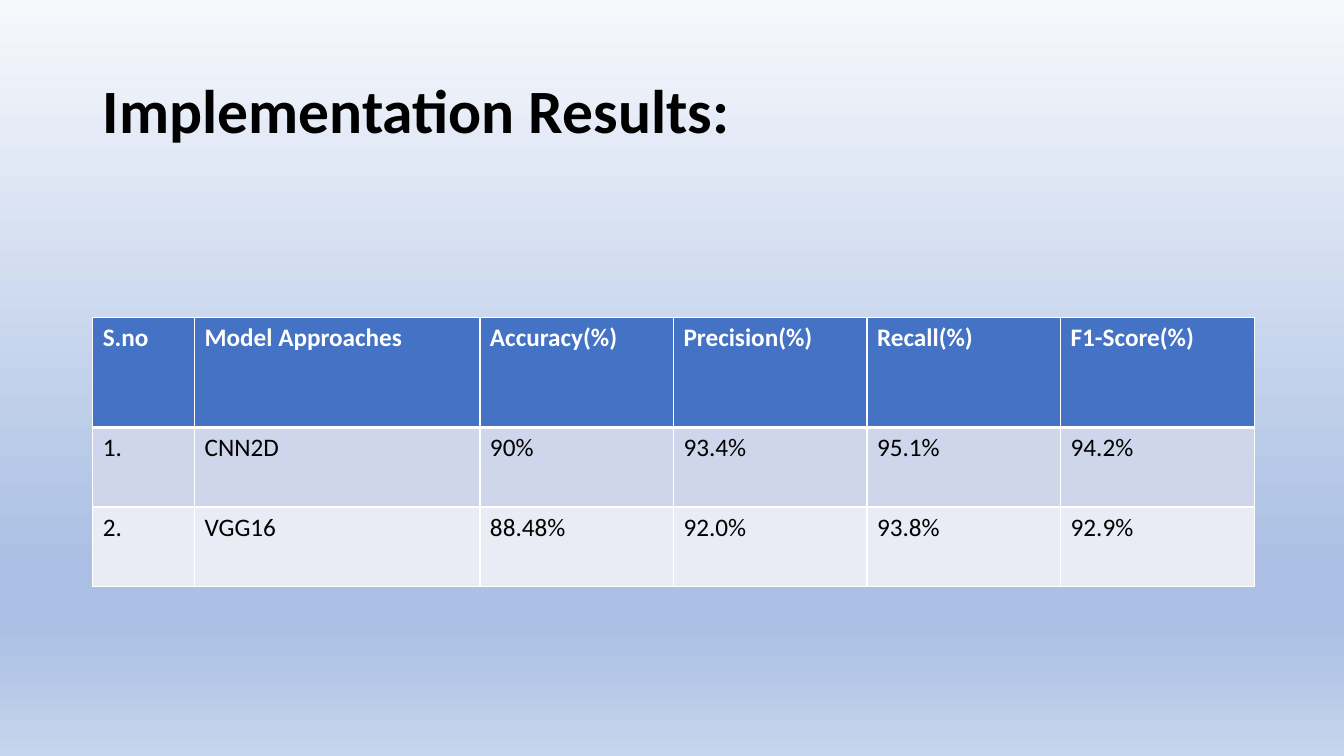
from lxml.etree import SubElement
from pptx import Presentation
from pptx.dml.color import RGBColor
from pptx.enum.text import MSO_ANCHOR, PP_ALIGN
from pptx.oxml import parse_xml
from pptx.oxml.ns import nsdecls, qn
from pptx.util import Inches, Pt

COLORS = {
    "text": "000000",
    "header_text": "FFFFFF",
    "border": "FFFFFF",
    "header": "4472C4",
    "odd_row": "CFD5EA",
    "even_row": "E9EBF5",
}
BACKGROUND_STOPS = [(0, "F6F8FC"), (74, "ABC0E4"), (83, "ABC0E4"), (100, "C7D5ED")]
FONT = "Calibri"
TITLE_BOX = (0.92, 0.4, 11.5, 1.45)
TABLE_BOX = (0.92, 3.15, 11.5, 2.67)
COLUMN_WIDTHS = [1.01, 2.83] + [1.92] * 4
ROW_HEIGHTS = [1.09, 0.79, 0.79]
RESULTS = [
    ["S.no", "Model Approaches", "Accuracy(%)", "Precision(%)", "Recall(%)", "F1-Score(%)"],
    ["1.", "CNN2D", "90%", "93.4%", "95.1%", "94.2%"],
    ["2.", "VGG16", "88.48%", "92.0%", "93.8%", "92.9%"],
]


def style_paragraph(paragraph, size, color, bold):
    """Format every run of a paragraph."""
    for span in paragraph.runs:
        span.font.name = FONT
        span.font.size = Pt(size)
        span.font.bold = bold
        span.font.color.rgb = RGBColor.from_string(color)


def paint_background(page):
    """Fill the page with a vertical gradient."""
    fill = page.background.fill
    fill.gradient()
    fill.gradient_angle = 270
    stops = page.element.find(".//" + qn("a:gsLst"))
    for stop in list(stops):
        stops.remove(stop)
    for percent, color in BACKGROUND_STOPS:
        stop = SubElement(stops, qn("a:gs"), pos=str(percent * 1000))
        SubElement(stop, qn("a:srgbClr"), val=color)


def add_title(page, box, text):
    """Place and format the title placeholder."""
    title = page.shapes.title
    title.left, title.top, title.width, title.height = map(Inches, box)
    frame = title.text_frame
    frame.text = text
    frame.word_wrap = True
    frame.vertical_anchor = MSO_ANCHOR.MIDDLE
    paragraph = frame.paragraphs[0]
    paragraph.alignment = PP_ALIGN.LEFT
    paragraph.line_spacing = 0.9
    style_paragraph(paragraph, 44, COLORS["text"], True)


def set_borders(cell, top, bottom):
    """Draw the four cell borders, with widths in points."""
    properties = cell._tc.get_or_add_tcPr()
    sides = {"lnL": 1, "lnR": 1, "lnT": top, "lnB": bottom}
    for position, (side, width) in enumerate(sides.items()):
        line = parse_xml(
            f'<a:{side} {nsdecls("a")} w="{Pt(width)}"><a:solidFill>'
            f'<a:srgbClr val="{COLORS["border"]}"/></a:solidFill></a:{side}>'
        )
        properties.insert(position, line)


def add_results_table(page, box, rows):
    """Build the table of model scores."""
    frame = page.shapes.add_table(len(rows), len(rows[0]), *map(Inches, box))
    table = frame.table
    for column, width in zip(table.columns, COLUMN_WIDTHS):
        column.width = Inches(width)
    for row, height in zip(table.rows, ROW_HEIGHTS):
        row.height = Inches(height)
    fills = [COLORS["header"], COLORS["odd_row"], COLORS["even_row"]]
    for row_index, values in enumerate(rows):
        is_header = row_index == 0
        color = COLORS["header_text" if is_header else "text"]
        for column_index, value in enumerate(values):
            cell = table.cell(row_index, column_index)
            cell.text_frame.text = value
            style_paragraph(cell.text_frame.paragraphs[0], 18, color, is_header)
            cell.fill.solid()
            cell.fill.fore_color.rgb = RGBColor.from_string(fills[row_index])
            set_borders(cell, 3 if row_index == 1 else 1, 3 if is_header else 1)


def main():
    """Build and save the deck."""
    deck = Presentation()
    deck.slide_width, deck.slide_height = Inches(13.33), Inches(7.5)
    page = deck.slides.add_slide(deck.slide_layouts[5])
    paint_background(page)
    add_title(page, TITLE_BOX, "Implementation Results:")
    add_results_table(page, TABLE_BOX, RESULTS)
    deck.save("out.pptx")


if __name__ == "__main__":
    main()
